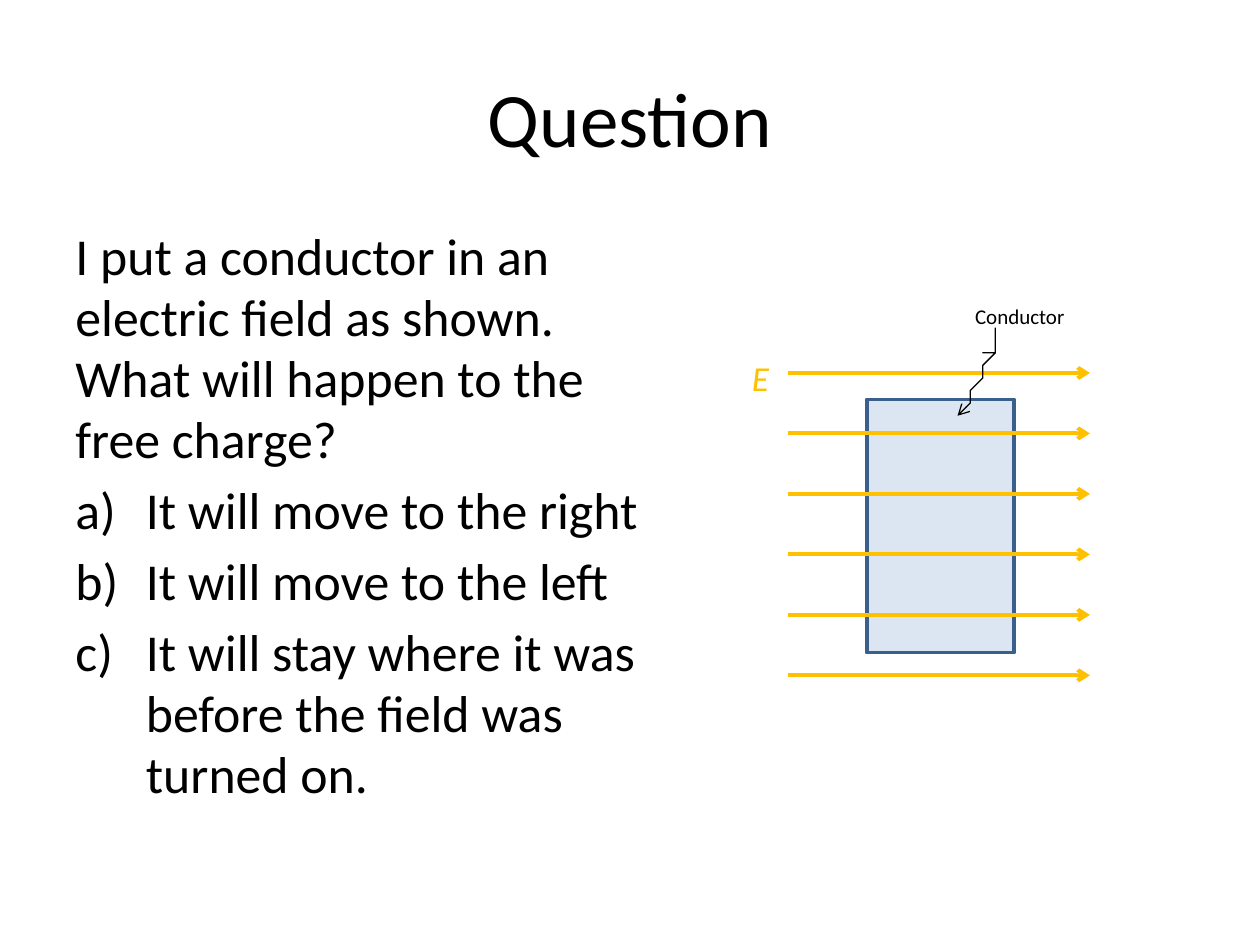
from dataclasses import dataclass

from lxml import etree
from pptx import Presentation
from pptx.dml.color import RGBColor
from pptx.enum.shapes import MSO_CONNECTOR, MSO_SHAPE
from pptx.enum.text import MSO_ANCHOR, PP_ALIGN
from pptx.oxml.ns import qn
from pptx.util import Inches, Pt

STRAIGHT = MSO_CONNECTOR.STRAIGHT
RECTANGLE = MSO_SHAPE.RECTANGLE
TOP, MIDDLE = MSO_ANCHOR.TOP, MSO_ANCHOR.MIDDLE
LEFT, CENTER = PP_ALIGN.LEFT, PP_ALIGN.CENTER

# The slide is a grid of square cells.
COLS, ROWS = 100, 75
CELL = Inches(0.1)


@dataclass(frozen=True)
class Theme:
    font: str = "Calibri"
    text: str = "000000"
    field: str = "FFC000"
    conductor: str = "DCE6F2"
    outline: str = "3A5F8C"
    title_size: float = 44
    body_size: float = 29.6
    symbol_size: float = 20
    label_size: float = 12
    body_leading: float = 0.98
    body_gap: float = 5.9


@dataclass(frozen=True)
class Box:
    col: float
    row: float
    cols: float
    rows: float

    def emu(self) -> tuple[int, ...]:
        return tuple(cells(n) for n in (self.col, self.row, self.cols, self.rows))


@dataclass(frozen=True)
class Label:
    text: str
    box: Box
    size: float
    color: str
    italic: bool = False
    wrap: bool = False
    align: PP_ALIGN = LEFT
    anchor: MSO_ANCHOR = TOP


THEME = Theme()
TITLE = Label("Question", Box(5, 3, 90, 12.5), THEME.title_size, THEME.text,
              wrap=True, align=CENTER, anchor=MIDDLE)
CONDUCTOR_LABEL = Label("Conductor", Box(76.4, 23.6, 9.2, 3),
                        THEME.label_size, THEME.text)
FIELD_LABEL = Label("E", Box(58.7, 27.8, 3.4, 4.4),
                    THEME.symbol_size, THEME.field, italic=True)

BODY = Box(5, 17.5, 47.1, 49.5)
QUESTION = ("I put a conductor in an electric field as shown. "
            "What will happen to the free charge?")
ANSWERS = (
    "It will move to the right",
    "It will move to the left",
    "It will stay where it was before the field was turned on.",
)
ANSWER_INDENT = 5.6

CONDUCTOR = Box(68.8, 31.7, 11.7, 20.1)
FIELD_LINES = 6
FIELD_START, FIELD_END = 62.5, 86.5
FIELD_TOP, FIELD_STEP = 29.6, 4.8

POINTER_START = (79.1, 26.4)
POINTER_CURVES = (
    ((79.1, 26.4), (79, 26.5), (78.9, 26.8)),
    ((78.8, 27), (78.4, 27.8), (78.4, 28)),
    ((78.4, 28.1), (79.2, 26.9), (78.9, 27.8)),
    ((78.5, 28.7), (76.2, 33.1), (76.2, 33.1)),
)
CURVE_STEPS = 10


def cells(n: float) -> int:
    return round(n * CELL)


def rgb(color: str) -> RGBColor:
    return RGBColor.from_string(color)


def style_runs(p, size: float, color: str, italic: bool = False) -> None:
    for r in p.runs:
        r.font.name = THEME.font
        r.font.size = Pt(size)
        r.font.italic = italic
        r.font.color.rgb = rgb(color)


def style_line(sp, color: str, width: float, arrow: bool = False) -> None:
    sp.line.color.rgb = rgb(color)
    sp.line.width = Pt(width)
    if arrow:
        ln = sp.line._get_or_add_ln()
        etree.SubElement(ln, qn("a:tailEnd"), type="arrow")


def add_label(slide, label: Label) -> None:
    tf = slide.shapes.add_textbox(*label.box.emu()).text_frame
    tf.word_wrap = label.wrap
    tf.vertical_anchor = label.anchor
    tf.text = label.text
    p = tf.paragraphs[0]
    p.alignment = label.align
    style_runs(p, label.size, label.color, label.italic)


def number_with_letter(p) -> None:
    """Give the paragraph a hanging a), b), c) number."""
    indent = cells(ANSWER_INDENT)
    pPr = p._p.get_or_add_pPr()
    pPr.set("marL", str(indent))
    pPr.set("indent", str(-indent))
    etree.SubElement(pPr, qn("a:buFont"), typeface=THEME.font)
    etree.SubElement(pPr, qn("a:buAutoNum"), type="alphaLcParenR")


def add_body(slide) -> None:
    tf = slide.shapes.add_textbox(*BODY.emu()).text_frame
    tf.word_wrap = True
    tf.text = QUESTION
    for answer in ANSWERS:
        p = tf.add_paragraph()
        p.text = answer
        number_with_letter(p)
        p.space_before = Pt(THEME.body_gap)
    for p in tf.paragraphs:
        p.line_spacing = THEME.body_leading
        style_runs(p, THEME.body_size, THEME.text)


def add_conductor(slide) -> None:
    sp = slide.shapes.add_shape(RECTANGLE, *CONDUCTOR.emu())
    sp.shadow.inherit = False
    sp.fill.solid()
    sp.fill.fore_color.rgb = rgb(THEME.conductor)
    style_line(sp, THEME.outline, 2)


def add_field_line(slide, row: float) -> None:
    y = cells(row)
    line = slide.shapes.add_connector(STRAIGHT, cells(FIELD_START), y,
                                      cells(FIELD_END), y)
    style_line(line, THEME.field, 2.25, arrow=True)
    etree.SubElement(line._element.spPr, qn("a:effectLst"))


def bezier(points: tuple, t: float) -> tuple[float, float]:
    """Point at t on the cubic curve with these four control points."""
    weights = ((1 - t) ** 3, 3 * t * (1 - t) ** 2, 3 * t ** 2 * (1 - t), t ** 3)
    x, y = (sum(w * v for w, v in zip(weights, axis)) for axis in zip(*points))
    return x, y


def add_pointer(slide) -> None:
    start, vertices = POINTER_START, []
    for curve in POINTER_CURVES:
        vertices += [bezier((start, *curve), i / CURVE_STEPS)
                     for i in range(1, CURVE_STEPS + 1)]
        start = curve[-1]
    builder = slide.shapes.build_freeform(*POINTER_START, scale=CELL)
    builder.add_line_segments(vertices, close=False)
    sp = builder.convert_to_shape()
    sp.shadow.inherit = False
    sp.fill.background()
    style_line(sp, THEME.text, 0.75, arrow=True)


def main() -> None:
    prs = Presentation()
    prs.slide_width, prs.slide_height = cells(COLS), cells(ROWS)
    slide = prs.slides.add_slide(prs.slide_layouts[6])
    add_label(slide, TITLE)
    add_body(slide)
    add_conductor(slide)
    add_label(slide, CONDUCTOR_LABEL)
    for i in range(FIELD_LINES):
        add_field_line(slide, FIELD_TOP + i * FIELD_STEP)
    add_label(slide, FIELD_LABEL)
    add_pointer(slide)
    prs.save("out.pptx")


if __name__ == "__main__":
    main()
